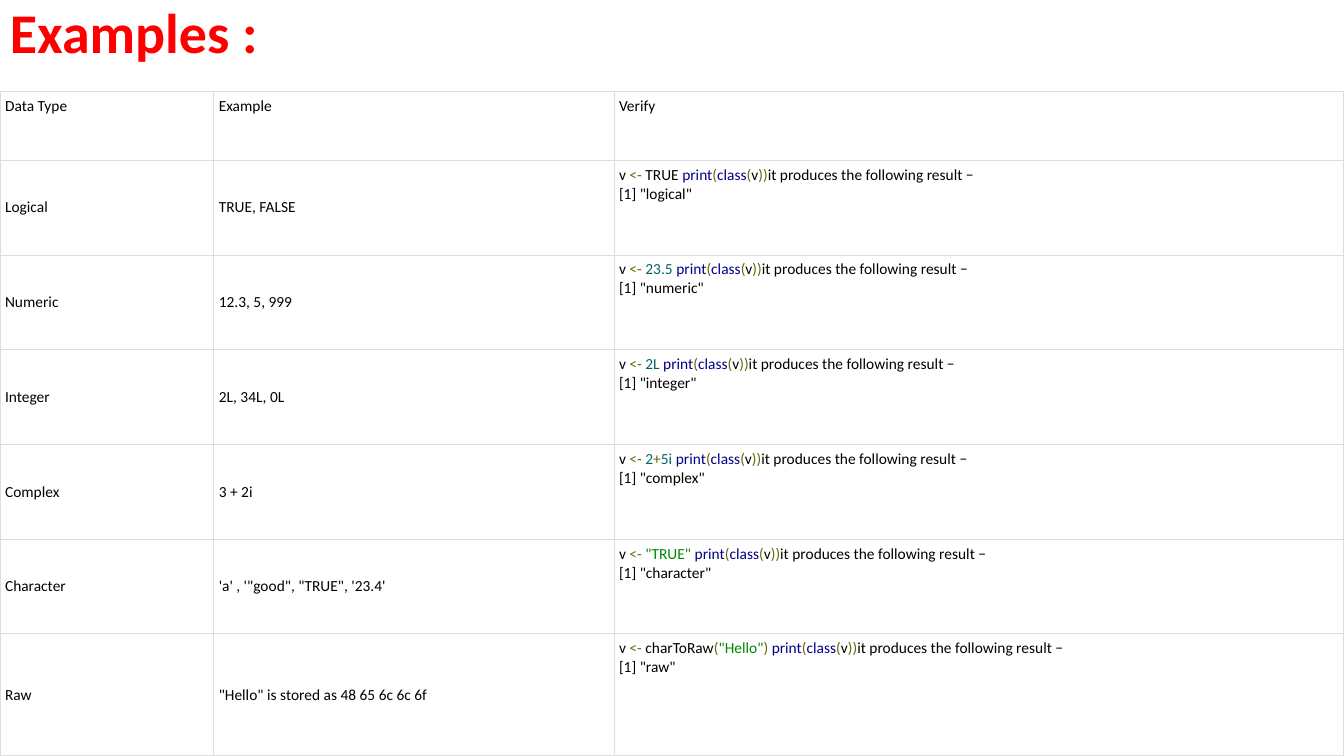
import pptx
import pptx.dml.color
import pptx.enum.shapes
import pptx.enum.text
import pptx.oxml
import pptx.oxml.ns
import pptx.util
from dataclasses import dataclass

Inches = pptx.util.Inches
Pt = pptx.util.Pt
RGB = pptx.dml.color.RGBColor.from_string
ANCHOR = pptx.enum.text.MSO_ANCHOR
ALIGN = pptx.enum.text.PP_ALIGN


@dataclass(frozen=True)
class Theme:
    """Fonts, sizes and colours of the slide."""
    font: str = "Calibri"
    title_size: int = 40
    body_size: int = 11
    border_width: float = 0.75
    title: str = "FF0000"
    paper: str = "FFFFFF"
    border: str = "DDDDDD"
    text: str = "000000"
    operator: str = "666600"
    keyword: str = "000088"
    number: str = "006666"
    string: str = "008800"


class Deck:
    """Draws styled elements on the current slide."""

    def __init__(self, prs, theme):
        """Add a blank slide to the presentation."""
        self.theme = theme
        self.s = prs.slides.add_slide(prs.slide_layouts[6])

    def style(self, r, size, color, bold=False):
        """Format one run."""
        r.font.name = self.theme.font
        r.font.size = Pt(size)
        r.font.bold = bold
        r.font.color.rgb = RGB(color)

    def title(self, text, x, y, w, h):
        """Draw the heading on a plain rectangle."""
        sp = self.s.shapes.add_shape(
            pptx.enum.shapes.MSO_SHAPE.RECTANGLE,
            Inches(x), Inches(y), Inches(w), Inches(h))
        sp.shadow.inherit = False
        sp.fill.solid()
        sp.fill.fore_color.rgb = RGB(self.theme.paper)
        sp.line.fill.background()
        tf = sp.text_frame
        tf.word_wrap = True
        tf.vertical_anchor = ANCHOR.TOP
        p = tf.paragraphs[0]
        p.text = text
        p.alignment = ALIGN.LEFT
        p.line_spacing = 0.9
        self.style(p.runs[0], self.theme.title_size, self.theme.title, True)

    def paragraph(self, p, pieces):
        """Fill a paragraph with text pieces, each in a named colour."""
        for text, role in pieces:
            r = p.add_run()
            r.text = text
            self.style(r, self.theme.body_size, getattr(self.theme, role))

    def borders(self, cell):
        """Draw the same thin line on all four sides of a cell."""
        tc_pr = cell._tc.get_or_add_tcPr()
        width = Pt(self.theme.border_width)
        for i, side in enumerate("LRTB"):
            tc_pr.insert(i, pptx.oxml.parse_xml(
                f'<a:ln{side} {pptx.oxml.ns.nsdecls("a")} w="{width}">'
                f'<a:solidFill><a:srgbClr val="{self.theme.border}"/>'
                f'</a:solidFill></a:ln{side}>'))

    def cell(self, cell, paragraphs, anchor):
        """Fill and frame a cell that holds one or more paragraphs."""
        cell.fill.solid()
        cell.fill.fore_color.rgb = RGB(self.theme.paper)
        cell.margin_left = cell.margin_right = Inches(0.05)
        cell.margin_top = cell.margin_bottom = Inches(0.05)
        cell.vertical_anchor = anchor
        tf = cell.text_frame
        for i, pieces in enumerate(paragraphs):
            p = tf.add_paragraph() if i else tf.paragraphs[0]
            if len(pieces) > 1:
                p.alignment = ALIGN.JUSTIFY
            self.paragraph(p, pieces)
        self.borders(cell)

    def table(self, x, y, widths, heights, rows):
        """Draw the table with a centred body and a top-aligned last column."""
        table = self.s.shapes.add_table(
            len(heights), len(widths), Inches(x), Inches(y),
            Inches(sum(widths)), Inches(sum(heights))).table
        table.first_row = table.horz_banding = False
        for column, width in zip(table.columns, widths):
            column.width = Inches(width)
        for row, height in zip(table.rows, heights):
            row.height = Inches(height)
        for i, row in enumerate(rows):
            for j, paragraphs in enumerate(row):
                top = i == 0 or j == len(widths) - 1
                self.cell(table.cell(i, j), paragraphs,
                          ANCHOR.TOP if top else ANCHOR.MIDDLE)


HEADER = ["Data Type", "Example", "Verify"]
EXAMPLES = [
    ("Logical", "TRUE, FALSE", [("TRUE ", "text")]),
    ("Numeric", "12.3, 5, 999", [("23.5 ", "number")]),
    ("Integer", "2L, 34L, 0L", [("2L ", "number")]),
    ("Complex", "3 + 2i",
     [("2", "number"), ("+", "operator"), ("5i ", "number")]),
    ("Character", "'a' , '\"good\", \"TRUE\", '23.4'",
     [('"TRUE" ', "string")]),
    ("Raw", '"Hello" is stored as 48 65 6c 6c 6f',
     [("charToRaw", "text"), ("(", "operator"), ('"Hello"', "string"),
      (") ", "operator")]),
]
PRINT_CLASS = [
    ("print", "keyword"), ("(", "operator"), ("class", "keyword"),
    ("(", "operator"), ("v", "text"), ("))", "operator"),
    ("it produces the following result −", "text"),
]


def plain(text):
    """Return a paragraph in the text colour."""
    return [(text, "text")]


def example_row(kind, sample, value):
    """Return the three cells for one data type."""
    code = [("v ", "text"), ("<- ", "operator"), *value, *PRINT_CLASS]
    result = plain(f'[1] "{kind.lower()}"')
    return [[plain(kind)], [plain(sample)], [code, result]]


def main():
    """Build and save the slide."""
    prs = pptx.Presentation()
    prs.slide_width, prs.slide_height = Inches(13.33), Inches(7.5)
    deck = Deck(prs, Theme())
    deck.title("Examples :", 0, 0, 10.31, 0.76)
    rows = [[[plain(text)] for text in HEADER]]
    rows += [example_row(*example) for example in EXAMPLES]
    deck.table(0, 0.91, [2.12, 3.97, 7.24], [0.68] + [0.94] * 5 + [1.21], rows)
    prs.save("out.pptx")


if __name__ == "__main__":
    main()
